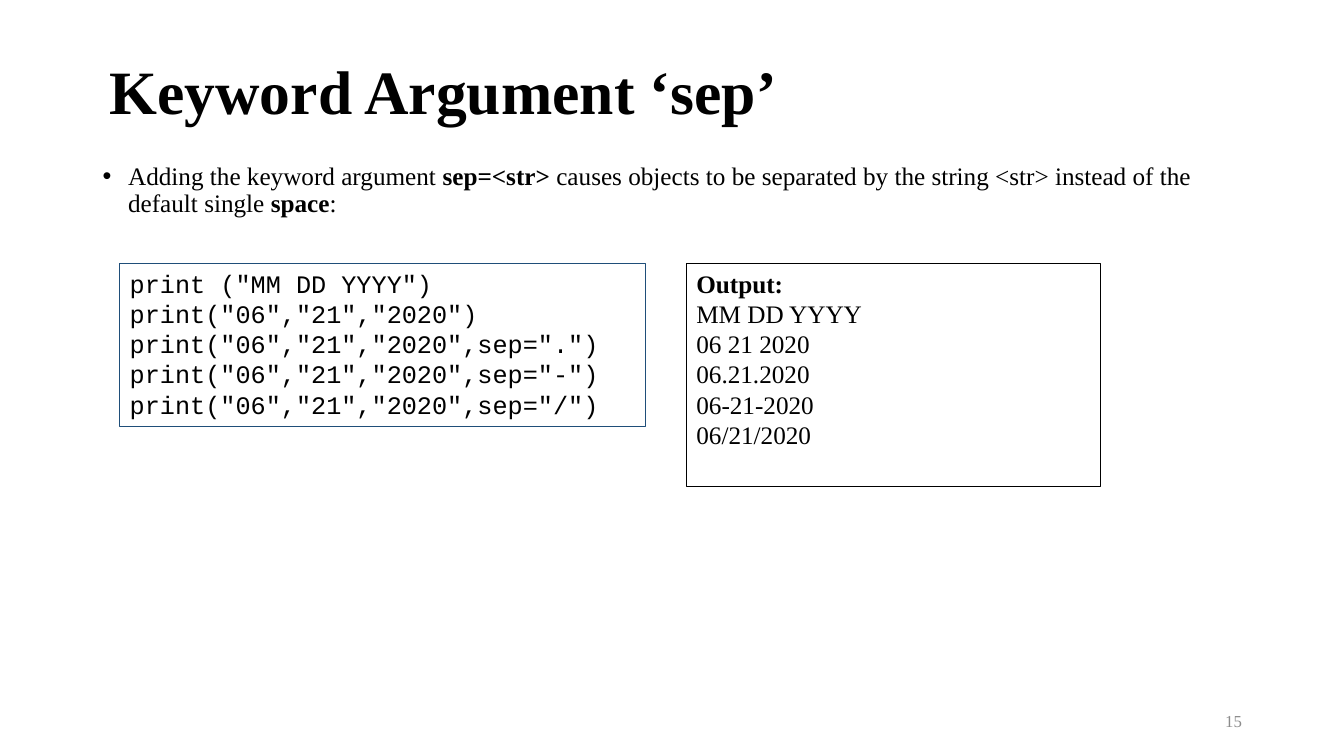
from lxml import etree
from pptx import Presentation
from pptx.dml.color import RGBColor
from pptx.enum.shapes import MSO_SHAPE
from pptx.enum.text import MSO_ANCHOR, PP_ALIGN
from pptx.oxml.ns import qn
from pptx.util import Cm, Pt

COLORS = {"text": "000000", "number": "8C8C8C", "code": "1F4E79", "output": "000000"}
SERIF = "Times New Roman"
MONO = "Courier New"

INTRO = [
    ("Adding the keyword argument ", False),
    ("sep=<str> ", True),
    ("causes objects to be separated by the string <str> instead of the default single ", False),
    ("space", True),
    (":", False),
]
DATE_ARGS = '"06","21","2020"'
SEPARATORS = [".", "-", "/"]
CODE = ['print ("MM DD YYYY")', f"print({DATE_ARGS})"]
CODE += [f'print({DATE_ARGS},sep="{separator}")' for separator in SEPARATORS]
RESULTS = ["MM DD YYYY"] + [separator.join(["06", "21", "2020"]) for separator in [" "] + SEPARATORS]


def add_run(paragraph, text, size, font=SERIF, color="text", bold=False):
    """Append one formatted run to a paragraph."""
    run = paragraph.add_run()
    run.text = text
    run.font.size = Pt(size)
    run.font.name = font
    run.font.bold = bold
    run.font.color.rgb = RGBColor.from_string(COLORS[color])


def add_text_area(slide, box, anchor=MSO_ANCHOR.TOP):
    """Add a wrapping text box and return its frame."""
    frame = slide.shapes.add_textbox(*map(Cm, box)).text_frame
    frame.word_wrap = True
    frame.vertical_anchor = anchor
    return frame


def add_title(slide, box, text):
    """Place the slide heading."""
    heading = add_text_area(slide, box, MSO_ANCHOR.MIDDLE).paragraphs[0]
    heading.line_spacing = 0.9
    add_run(heading, text, 44, bold=True)


def add_intro(slide, box, pieces):
    """Place the bulleted explanation with its bold keywords."""
    bullet = add_text_area(slide, box).paragraphs[0]
    bullet.line_spacing = 0.9
    bullet.space_before = Pt(10)
    properties = bullet._p.get_or_add_pPr()
    properties.set("marL", str(Cm(0.64)))
    properties.set("indent", str(-Cm(0.64)))
    etree.SubElement(properties, qn("a:buFont")).set("typeface", "Arial")
    etree.SubElement(properties, qn("a:buChar")).set("char", "•")
    for text, bold in pieces:
        add_run(bullet, text, 18, bold=bold)


def add_panel(slide, box, lines, font, border):
    """Place an outlined panel holding one paragraph per (text, bold) line."""
    panel = slide.shapes.add_shape(MSO_SHAPE.RECTANGLE, *map(Cm, box))
    panel.shadow.inherit = False
    panel.fill.background()
    panel.line.color.rgb = RGBColor.from_string(COLORS[border])
    panel.line.width = Pt(0.75)
    frame = panel.text_frame
    frame.word_wrap = True
    frame.vertical_anchor = MSO_ANCHOR.TOP
    for index, (text, bold) in enumerate(lines):
        paragraph = frame.add_paragraph() if index else frame.paragraphs[0]
        paragraph.alignment = PP_ALIGN.LEFT
        add_run(paragraph, text, 18, font, bold=bold)


def add_page_number(slide, box, number):
    """Place the page number at the lower right."""
    paragraph = add_text_area(slide, box, MSO_ANCHOR.MIDDLE).paragraphs[0]
    paragraph.alignment = PP_ALIGN.RIGHT
    add_run(paragraph, number, 12, color="number")


def main():
    """Build the slide and save it."""
    deck = Presentation()
    deck.slide_width, deck.slide_height = Cm(33.87), Cm(19.05)
    slide = deck.slides.add_slide(deck.slide_layouts[6])
    add_title(slide, (2.51, 1.02, 28.52, 2.74), "Keyword Argument ‘sep’")
    add_intro(slide, (2.34, 3.99, 29.21, 13.16), INTRO)
    add_page_number(slide, (23.93, 17.65, 7.62, 1.02), "15")
    panels_top = 6.63
    code_lines = [(line, False) for line in CODE]
    output_lines = [("Output:", True)] + [(line, False) for line in RESULTS]
    add_panel(slide, (3.02, panels_top, 13.26, 4.11), code_lines, MONO, "code")
    add_panel(slide, (17.3, panels_top, 10.44, 5.64), output_lines, SERIF, "output")
    deck.save("out.pptx")


if __name__ == "__main__":
    main()
